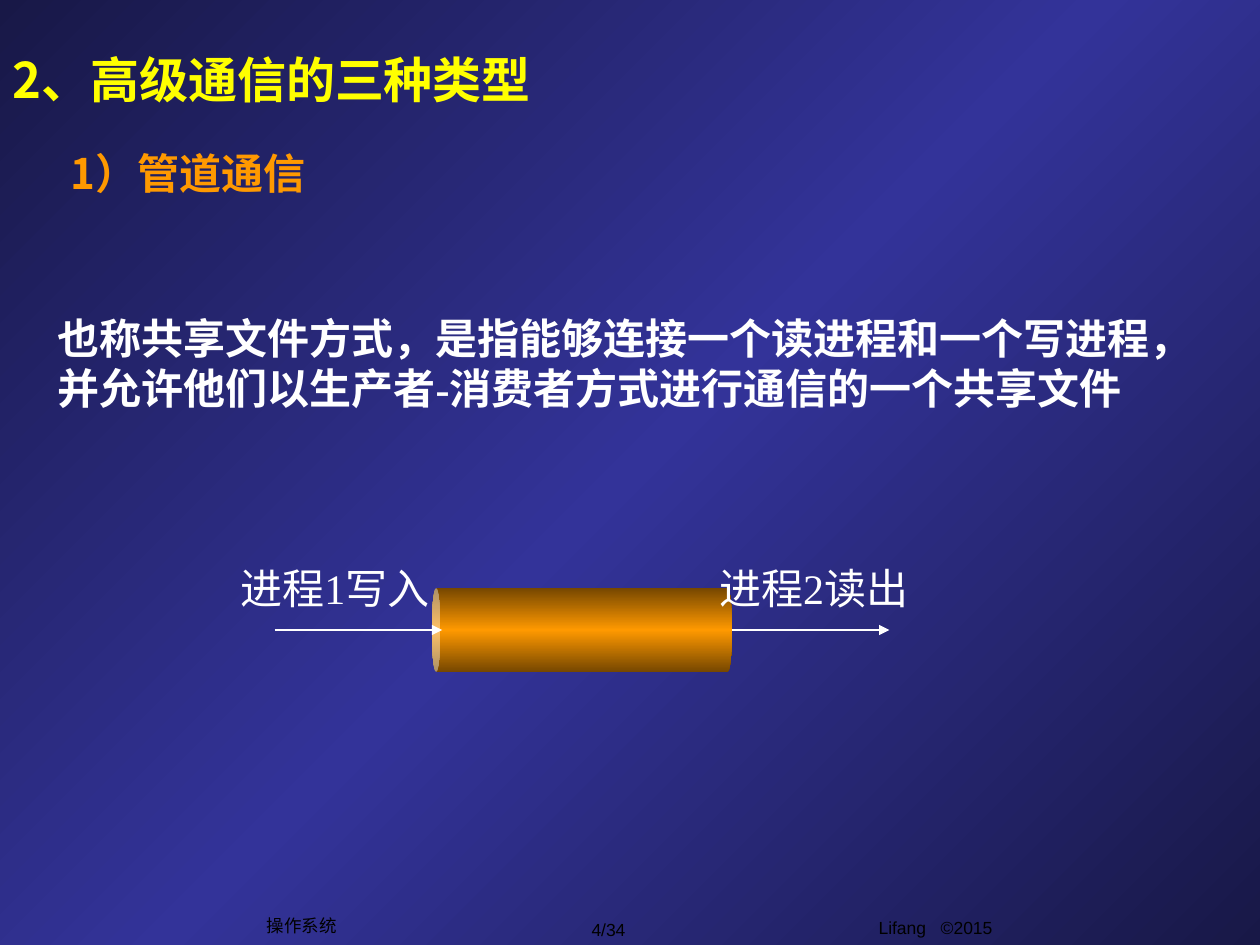
from dataclasses import dataclass

import pptx
import pptx.dml.color
import pptx.enum.shapes
import pptx.enum.text
import pptx.oxml
import pptx.oxml.ns
import pptx.util

Pt = pptx.util.Pt
Align = pptx.enum.text.PP_ALIGN
Anchor = pptx.enum.text.MSO_ANCHOR
Fit = pptx.enum.text.MSO_AUTO_SIZE
qn = pptx.oxml.ns.qn


@dataclass(frozen=True)
class Theme:
    night: str = "181847"
    blue: str = "333399"
    rust: str = "764700"
    orange: str = "FF9900"
    yellow: str = "FFFF00"
    white: str = "FFFFFF"
    black: str = "000000"
    sans: str = "Noto Sans CJK SC"
    serif: str = "Times New Roman"
    plain: str = "Arial"
    title: int = 28
    body: int = 24
    foot: int = 10


THEME = Theme()


@dataclass(frozen=True)
class Style:
    size: int
    font: str
    color: str
    bold: bool = False


@dataclass(frozen=True)
class Run:
    text: str
    gap: float = 0  # extra space after each letter, in points


@dataclass(frozen=True)
class Label:
    left: float
    top: float
    width: float
    height: float
    runs: tuple[Run, ...]
    style: Style
    align: Align = Align.LEFT
    anchor: Anchor = Anchor.TOP
    wrap: bool = True
    grow: bool = True


@dataclass(frozen=True)
class Arrow:
    start: float
    end: float
    y: float


HEAD = Style(THEME.title, THEME.sans, THEME.yellow, True)
SUB = Style(THEME.body, THEME.sans, THEME.orange, True)
BODY = Style(THEME.body, THEME.serif, THEME.white, True)
STEP = Style(THEME.body, THEME.serif, THEME.white)
FOOT = Style(THEME.foot, THEME.plain, THEME.black)

TITLE = Label(0, 23, 462.2, 44.6, (Run("2、高级通信的三种类型"),), HEAD,
              anchor=Anchor.MIDDLE, grow=False)
AXIS = 360  # middle line of the pipe
ARROWS = (Arrow(157, 252.7, AXIS), Arrow(418.3, 508.3, AXIS))
LABELS = (
    # Footer
    Label(420.5, 520.6, 228.2, 25.2,
          (Run("Lifang"), Run(" ", 5.6), Run("©2015")), FOOT,
          Align.CENTER, grow=False),
    Label(311, 521.3, 73.4, 19.4, (Run("4/34"),), FOOT,
          Align.CENTER, Anchor.MIDDLE, wrap=False),
    Label(145.4, 519.1, 54, 19.4, (Run("操作系统"),), FOOT,
          Align.CENTER, Anchor.MIDDLE, wrap=False),
    # Subtitle and definition
    Label(0, 80.6, 214.6, 36, (Run("1）管道通信"),), SUB, Align.CENTER),
    Label(25.9, 175, 677.5, 64.8,
          (Run("也称共享文件方式，是指能够连接一个读进程和一个写进程，"
               "并允许他们以生产者-消费者方式进行通信的一个共享文件"),), BODY),
    # Two ends of the pipe
    Label(130.3, 318.2, 134, 36, (Run("进程1写入"),), STEP, wrap=False),
    Label(403.9, 318.2, 134, 36, (Run("进程2读出"),), STEP, wrap=False),
)


def rgb(code: str) -> pptx.dml.color.RGBColor:
    return pptx.dml.color.RGBColor.from_string(code)


def blend(fill, root, edge: str, core: str, angle: int) -> None:
    """Fill from edge to core to edge, at a fixed angle on the page."""
    fill.gradient()
    grad = next(root.iter(qn("a:gradFill")))
    grad.set("rotWithShape", "0")
    stops = grad.find(qn("a:gsLst"))
    for stop in list(stops):
        stops.remove(stop)
    for place, code in ((0, edge), (50, core), (100, edge)):
        stop = pptx.oxml.parse_xml(
            f'<a:gs {pptx.oxml.ns.nsdecls("a")} pos="{place * 1000}">'
            f'<a:srgbClr val="{code}"/></a:gs>')
        stops.append(stop)
    line = grad.find(qn("a:lin"))
    line.set("ang", str(angle * 60000))
    line.set("scaled", "0")


def write(shape, label: Label) -> None:
    frame = shape.text_frame
    frame.word_wrap = label.wrap
    frame.auto_size = Fit.SHAPE_TO_FIT_TEXT if label.grow else Fit.NONE
    frame.vertical_anchor = label.anchor
    para = frame.paragraphs[0]
    para.alignment = label.align
    style = label.style
    for part in label.runs:
        run = para.add_run()
        run.text = part.text
        font = run.font
        font.size = Pt(style.size)
        font.bold = style.bold
        font.color.rgb = rgb(style.color)
        font.name = style.font
        props = run._r.get_or_add_rPr()
        east = props.makeelement(qn("a:ea"), {"typeface": THEME.sans})
        props.find(qn("a:latin")).addnext(east)
        if part.gap:
            props.set("spc", str(round(part.gap * 100)))


def add_label(slide, label: Label) -> None:
    box = slide.shapes.add_textbox(Pt(label.left), Pt(label.top),
                                   Pt(label.width), Pt(label.height))
    write(box, label)


def add_title(slide, label: Label) -> None:
    title = slide.shapes.title
    title.left, title.top = Pt(label.left), Pt(label.top)
    title.width, title.height = Pt(label.width), Pt(label.height)
    write(title, label)


def add_pipe(slide) -> None:
    kind = pptx.enum.shapes.MSO_SHAPE.CAN
    pipe = slide.shapes.add_shape(kind, Pt(308.5), Pt(274.3), Pt(48), Pt(171.4))
    pipe.rotation = 270
    pipe.adjustments[0] = 0.1
    pipe.shadow.inherit = False
    pipe.line.fill.background()
    blend(pipe.fill, pipe._element.spPr, THEME.rust, THEME.orange, 90)


def add_arrow(slide, arrow: Arrow) -> None:
    kind = pptx.enum.shapes.MSO_CONNECTOR.STRAIGHT
    link = slide.shapes.add_connector(kind, Pt(arrow.start), Pt(arrow.y),
                                      Pt(arrow.end), Pt(arrow.y))
    link.line.color.rgb = rgb(THEME.white)
    link.line.width = Pt(0.75)
    line = link.line._get_or_add_ln()
    line.append(line.makeelement(qn("a:tailEnd"), {"type": "triangle"}))
    props = link._element.spPr
    props.append(props.makeelement(qn("a:effectLst"), {}))


def main() -> None:
    deck = pptx.Presentation()
    deck.slide_width, deck.slide_height = Pt(720), Pt(540)
    slide = deck.slides.add_slide(deck.slide_layouts.get_by_name("Title Only"))
    blend(slide.background.fill, slide._element, THEME.night, THEME.blue, 45)
    add_title(slide, TITLE)
    # The labels lie over the pipe and its arrows
    add_pipe(slide)
    for arrow in ARROWS:
        add_arrow(slide, arrow)
    for label in LABELS:
        add_label(slide, label)
    deck.save("out.pptx")


if __name__ == "__main__":
    main()
